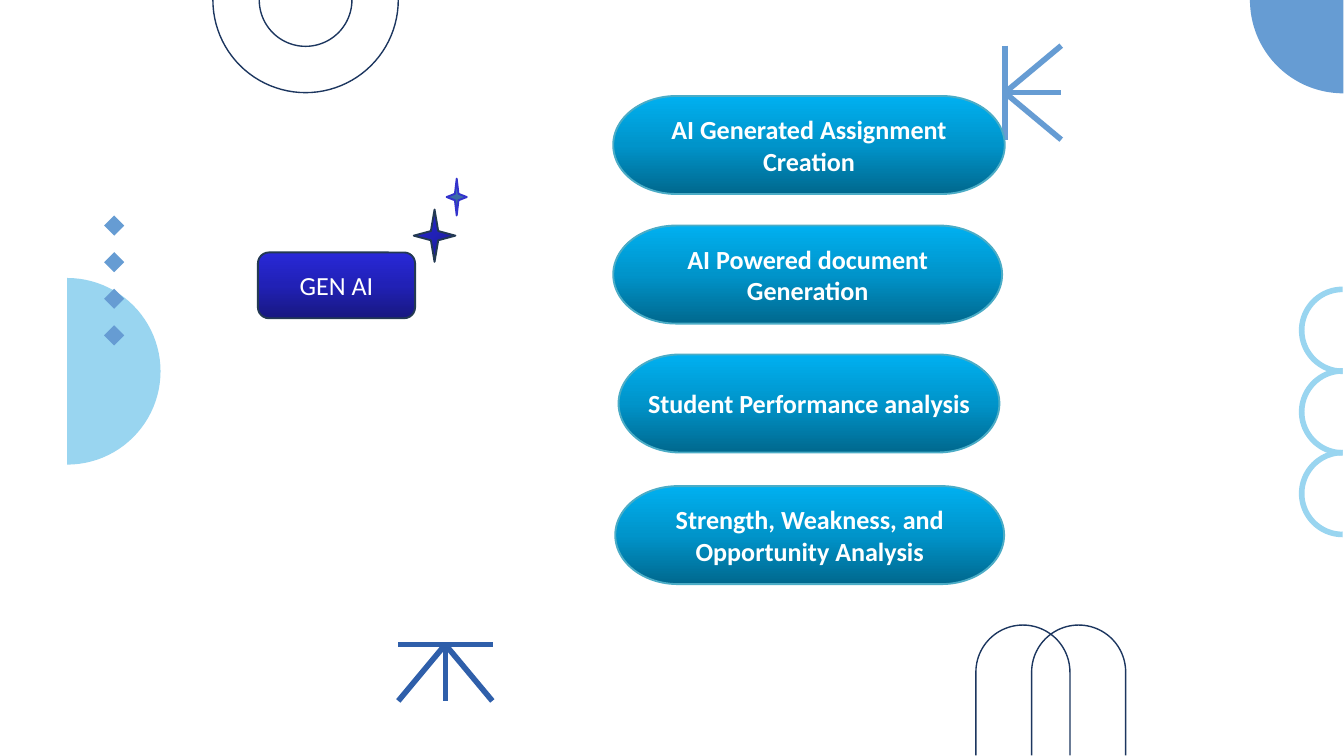
from copy import deepcopy
from math import cos, radians, sin

from lxml.etree import SubElement
from pptx import Presentation
from pptx.dml.color import RGBColor
from pptx.enum.shapes import MSO_CONNECTOR, MSO_SHAPE
from pptx.enum.text import MSO_ANCHOR, PP_ALIGN
from pptx.oxml.ns import qn
from pptx.util import Inches, Pt

COLORS = {
    "sky": "99D5F0", "blue": "669CD3", "royal": "2F5FAA", "ink": "1C365F",
    "teal": "4BACC6", "navy": "233953", "violet": "3333CC", "white": "FFFFFF",
}
GRADIENTS = {
    "pill": ("00688E", "0094CA", "00B0F0"),
    "indigo": ("171780", "2121B6", "2828D7"),
    "steel": ("2A4C75", "3C6CA6", "4780C5"),
}
PILLS = [
    (9.13, 1.43, 5.83, "AI Generated Assignment Creation"),
    (9.13, 3.36, 5.79, "AI Powered document Generation"),
    (9.21, 5.28, 5.67, "Student Performance analysis"),
    (9.16, 7.24, 5.79, "Strength, Weakness, and Opportunity Analysis"),
]


def arc(x, y, radius, start, end):
    """Return points along a circular arc, with angles clockwise from the right."""
    steps = 48
    angles = [radians(start + (end - start) * i / steps) for i in range(steps + 1)]
    return [(x + radius * cos(a), y + radius * sin(a)) for a in angles]


class Painter:
    """Draws elements in the style of the deck on the current slide."""

    font = "Calibri"
    size = Pt(28)

    def __init__(self, page):
        """Keep the slide that receives the elements."""
        self.shapes = page.shapes

    def color(self, name):
        """Return a named colour."""
        return RGBColor.from_string(COLORS[name])

    def finish(self, shape, fill=None, line=None, weight=2):
        """Set the plain fill and outline of a shape."""
        shape.shadow.inherit = False
        if fill:
            shape.fill.solid()
            shape.fill.fore_color.rgb = self.color(fill)
        else:
            shape.fill.background()
        if line:
            shape.line.color.rgb = self.color(line)
            shape.line.width = Pt(weight)
        else:
            shape.line.fill.background()

    def outline(self, points, closed=False, **style):
        """Draw a freeform through points given in inches."""
        start, *rest = [(Inches(x), Inches(y)) for x, y in points]
        builder = self.shapes.build_freeform(*start, scale=1.0)
        builder.add_line_segments(rest, close=closed)
        self.finish(builder.convert_to_shape(), **style)

    def preset(self, kind, left, top, width, height, **style):
        """Draw a preset shape."""
        shape = self.shapes.add_shape(
            kind, Inches(left), Inches(top), Inches(width), Inches(height))
        self.finish(shape, **style)
        return shape

    def gradient(self, shape, name, radial=False):
        """Fill a shape with three stops, rising upward or spreading from a corner."""
        shape.fill.gradient()
        shape.fill.gradient_angle = 90
        grad = shape.element.spPr.find(qn("a:gradFill"))
        first = grad.find(qn("a:gsLst"))[0]
        first.addnext(deepcopy(first))
        for i, stop in enumerate(shape.fill.gradient_stops):
            stop.position = i / 2
            stop.color.rgb = RGBColor.from_string(GRADIENTS[name][i])
        if radial:
            grad.remove(grad.find(qn("a:lin")))
            spread = SubElement(grad, qn("a:path"), {"path": "circle"})
            SubElement(spread, qn("a:fillToRect"), {"l": "100000", "t": "100000"})

    def label(self, shape, text, bold=False):
        """Write centred white text in a shape."""
        frame = shape.text_frame
        frame.word_wrap = True
        frame.vertical_anchor = MSO_ANCHOR.MIDDLE
        para = frame.paragraphs[0]
        para.text = text
        para.alignment = PP_ALIGN.CENTER
        para.font.name = self.font
        para.font.size = self.size
        para.font.bold = bold
        para.font.color.rgb = self.color("white")

    def ray(self, start, end, color):
        """Draw a thick straight line."""
        line = self.shapes.add_connector(
            MSO_CONNECTOR.STRAIGHT, *[Inches(n) for n in (*start, *end)])
        line.line.color.rgb = self.color(color)
        line.line.width = Pt(6)
        SubElement(line.element.spPr, qn("a:effectLst"))


def draw_decoration(painter):
    """Draw the arcs, discs, diamonds and rays around the content."""
    for i in range(3):
        painter.outline(arc(19.99, 4.92 + 1.215 * i, 0.61, 90, 270), line="sky", weight=6)
    for x in (15.23, 16.06):
        arch = [(x - 0.7, 11.25), *arc(x, 10.01, 0.7, 180, 360), (x + 0.7, 11.25)]
        painter.outline(arch, line="ink", weight=1.47)
    for radius in (1.38, 0.69):
        painter.outline(arc(4.55, 0, radius, 0, 180), line="ink", weight=1.47)
    painter.outline([(20, 0), *arc(20, 0, 1.39, 90, 180)], closed=True, fill="blue")
    painter.outline(arc(1, 5.53, 1.39, -90, 90), closed=True, fill="sky")
    for i in range(4):
        painter.preset(MSO_SHAPE.DIAMOND, 1.55, 3.21 + 0.545 * i, 0.3, 0.3, fill="blue")
    painter.ray((14.96, 0.68), (14.96, 2.08), "blue")
    painter.ray((5.93, 9.6), (7.34, 9.6), "royal")
    for offset in (-0.7, 0, 0.7):
        painter.ray((14.96, 1.38), (15.8, 1.38 + offset), "blue")
        painter.ray((6.63, 9.6), (6.63 + offset, 10.44), "royal")


def main():
    """Build and save the deck."""
    deck = Presentation()
    deck.slide_width, deck.slide_height = Inches(20.01), Inches(11.26)
    page = deck.slides.add_slide(deck.slide_layouts[6])
    painter = Painter(page)
    draw_decoration(painter)

    badge = painter.preset(
        MSO_SHAPE.ROUNDED_RECTANGLE, 3.84, 3.76, 2.34, 0.98, line="navy")
    painter.gradient(badge, "indigo")
    painter.label(badge, "GEN AI")
    large_star = painter.preset(
        MSO_SHAPE.STAR_4_POINT, 6.16, 3.12, 0.62, 0.78, line="navy")
    painter.gradient(large_star, "indigo", radial=True)
    small_star = painter.preset(
        MSO_SHAPE.STAR_4_POINT, 6.65, 2.66, 0.3, 0.55, line="violet")
    painter.gradient(small_star, "steel")

    for left, top, width, text in PILLS:
        pill = painter.preset(
            MSO_SHAPE.FLOWCHART_TERMINATOR, left, top, width, 1.46, line="teal")
        painter.gradient(pill, "pill")
        painter.label(pill, text, bold=True)
    deck.save("out.pptx")


if __name__ == "__main__":
    main()
